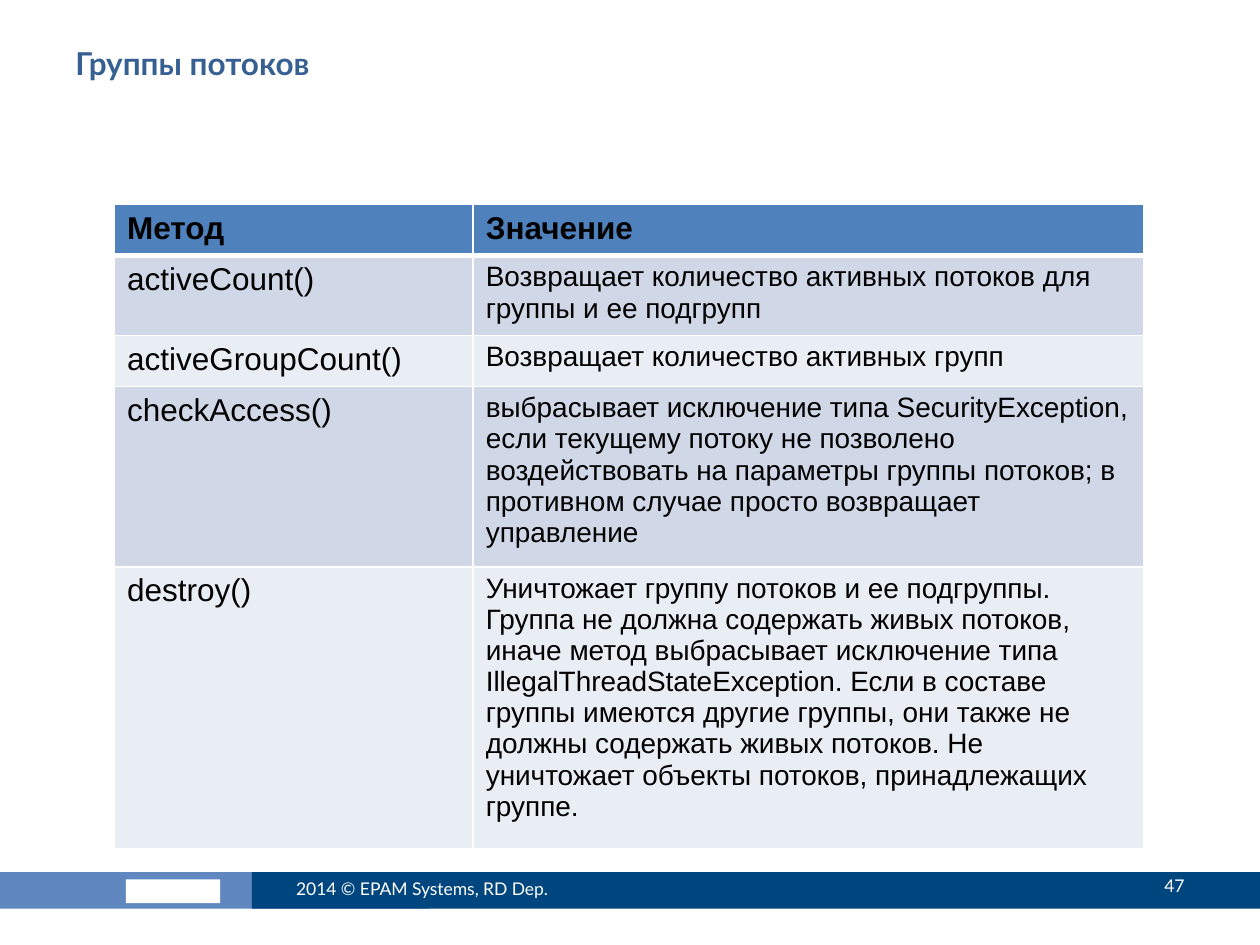
from lxml.etree import SubElement
from pptx import Presentation
from pptx.dml.color import RGBColor
from pptx.enum.shapes import MSO_SHAPE
from pptx.enum.text import MSO_ANCHOR, PP_ALIGN
from pptx.oxml.ns import qn
from pptx.util import Cm, Pt


def color(value):
    return RGBColor.from_string(value)


def write(text_frame, text, size, font, text_color, bold=False):
    text_frame.word_wrap = True
    paragraph = text_frame.paragraphs[0]
    paragraph.text = text
    paragraph.font.size = Pt(size)
    paragraph.font.name = font
    paragraph.font.bold = bold
    paragraph.font.color.rgb = color(text_color)
    return paragraph


presentation = Presentation()
presentation.slide_width = Cm(25.4)
presentation.slide_height = Cm(19.05)
slide = presentation.slides.add_slide(presentation.slide_layouts[6])

footer_bars = [
    (-0.05, 17.58, 8.71, 0.74, "6087BF"),
    (2.54, 17.73, 1.9, 0.48, "FFFFFF"),
    (5.08, 17.58, 20.32, 0.74, "00467E"),
]
for left, top, width, height, fill in footer_bars:
    shape = slide.shapes.add_shape(
        MSO_SHAPE.RECTANGLE, Cm(left), Cm(top), Cm(width), Cm(height)
    )
    shape.shadow.inherit = False
    shape.fill.solid()
    shape.fill.fore_color.rgb = color(fill)
    shape.line.fill.background()

title = slide.shapes.add_textbox(Cm(1.27), Cm(0.76), Cm(22.86), Cm(1.98))
write(title.text_frame, "Группы потоков", 18, "Lato", "376092", True)

footer_texts = [
    (5.72, 17.4, 6.78, "2014 © EPAM Systems, RD Dep.", PP_ALIGN.LEFT),
    (21.39, 17.35, 2.74, "47", PP_ALIGN.RIGHT),
]
for left, top, width, text, alignment in footer_texts:
    box = slide.shapes.add_textbox(Cm(left), Cm(top), Cm(width), Cm(1.02))
    box.text_frame.vertical_anchor = MSO_ANCHOR.MIDDLE
    write(box.text_frame, text, 10, "Lato", "FFFFFF").alignment = alignment

methods = [
    ("Метод", "Значение"),
    ("activeCount()", "Возвращает количество активных потоков для группы и ее подгрупп"),
    ("activeGroupCount()", "Возвращает количество активных групп"),
    (
        "checkAccess()",
        "выбрасывает исключение типа SecurityException, если текущему потоку "
        "не позволено воздействовать на параметры группы потоков; в противном "
        "случае просто возвращает управление",
    ),
    (
        "destroy()",
        "Уничтожает группу потоков и ее подгруппы. Группа не должна содержать "
        "живых потоков, иначе метод выбрасывает исключение типа "
        "IllegalThreadStateException. Если в составе группы имеются другие "
        "группы, они также не должны содержать живых потоков. Не уничтожает "
        "объекты потоков, принадлежащих группе.",
    ),
]
row_heights = [1.03, 1.5, 1.03, 3.4, 5.2]
table = slide.shapes.add_table(
    len(methods), 2, Cm(2.31), Cm(4.12), Cm(20.74), Cm(sum(row_heights))
).table
table.columns[0].width = Cm(7.23)
table.columns[1].width = Cm(13.51)

for row_index, texts in enumerate(methods):
    table.rows[row_index].height = Cm(row_heights[row_index])
    header = row_index == 0
    fill = "4F81BD" if header else ("E9EDF4", "D0D8E8")[row_index % 2]
    for column_index, text in enumerate(texts):
        cell = table.cell(row_index, column_index)
        size = 18 if header or column_index == 0 else 16
        write(cell.text_frame, text, size, "Arial", "000000", header)
        properties = cell._tc.get_or_add_tcPr()
        for side in ("lnL", "lnR", "lnT", "lnB"):
            thick = (row_index, side) in ((0, "lnB"), (1, "lnT"))
            border = SubElement(properties, qn(f"a:{side}"), w=str(Pt(3 if thick else 1)))
            border_fill = SubElement(border, qn("a:solidFill"))
            SubElement(border_fill, qn("a:srgbClr"), val="FFFFFF")
        cell.fill.solid()
        cell.fill.fore_color.rgb = color(fill)

presentation.save("out.pptx")
